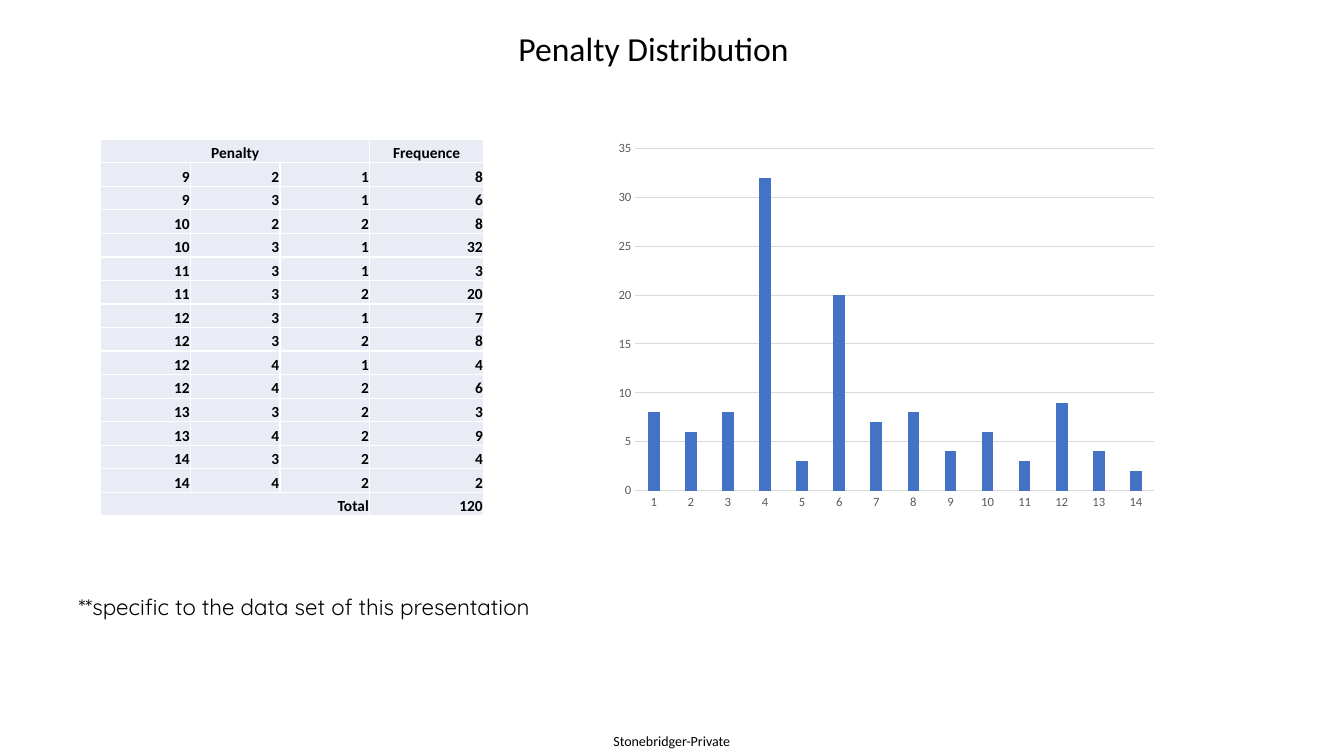
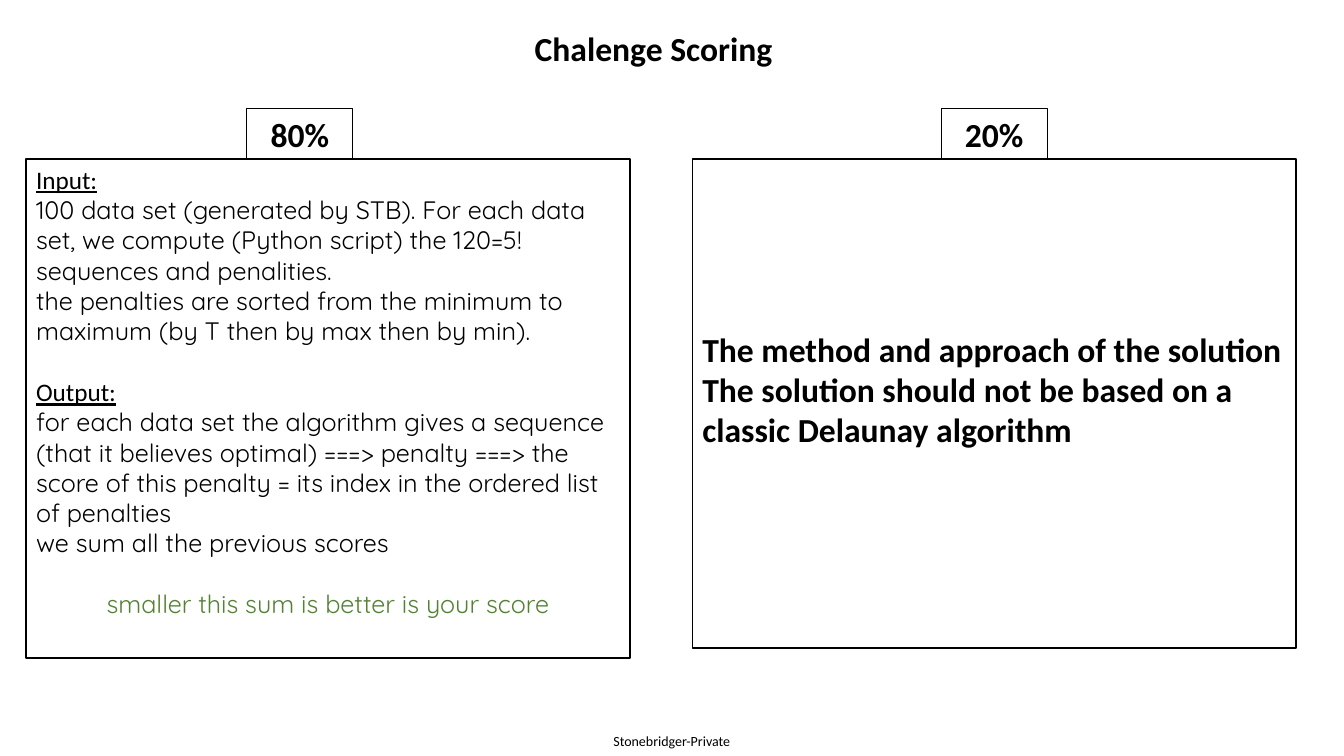
from dataclasses import dataclass

from lxml import etree
from pptx import Presentation
from pptx import util as u
from pptx.chart import data as chart_data
from pptx.dml.color import RGBColor
from pptx.enum import chart as chart_enum
from pptx.enum import shapes, text
from pptx.oxml import parse_xml
from pptx.oxml.ns import nsdecls, qn


@dataclass(frozen=True)
class Theme:
    ink: str = "000000"
    accent: str = "548235"
    bar: str = "4472C4"
    grid: str = "D9D9D9"
    axis_text: str = "595959"
    cell: str = "E9EBF5"
    cell_border: str = "FFFFFF"
    font: str = "Calibri"
    body_font: str = "Quicksand"
    title: int = 24
    body: int = 18
    note: int = 16
    table: int = 11
    footer: int = 10
    axis: int = 9


THEME = Theme()
FOOTER = "Stonebridger-Private"
LEFT, CENTER, RIGHT = text.PP_ALIGN.LEFT, text.PP_ALIGN.CENTER, text.PP_ALIGN.RIGHT
TOP, MIDDLE, BOTTOM = (text.MSO_ANCHOR.TOP, text.MSO_ANCHOR.MIDDLE,
                       text.MSO_ANCHOR.BOTTOM)

# Three penalty terms and how often the combination occurs
PENALTIES = [
    (9, 2, 1, 8), (9, 3, 1, 6), (10, 2, 2, 8), (10, 3, 1, 32),
    (11, 3, 1, 3), (11, 3, 2, 20), (12, 3, 1, 7), (12, 3, 2, 8),
    (12, 4, 1, 4), (12, 4, 2, 6), (13, 3, 2, 3), (13, 4, 2, 9),
    (14, 3, 2, 4), (14, 4, 2, 2),
]
FREQUENCIES = [row[-1] for row in PENALTIES]

HEADING = dict(font=THEME.font, underline=True)
SCORING = [
    ("Input:", HEADING),
    "100 data set (generated by STB). For each data set, we compute "
    "(Python script) the 120=5! sequences and penalities.",
    "the penalties are sorted from the minimum to maximum "
    "(by T then by max then by min).",
    ("Output:", dict(HEADING, before=22)),
    "for each data set the algorithm gives a sequence (that it believes "
    "optimal) ===> penalty ===> the score of this penalty = its index in "
    "the ordered list of penalties",
    "we sum all the previous scores",
    ("smaller this sum is better is your score",
     dict(color=THEME.accent, align=CENTER, before=22)),
]
METHOD = [
    "The method and approach of the solution",
    "The solution should not be based on a classic Delaunay algorithm",
]


def cm(box):
    return [u.Cm(length) for length in box]


def rgb(value):
    return RGBColor.from_string(value)


def write_paragraph(paragraph, words, size=THEME.body, font=THEME.font,
                    color=THEME.ink, bold=False, underline=False,
                    align=LEFT, before=0):
    paragraph.alignment = align
    paragraph.space_before = u.Pt(before)
    run = paragraph.add_run()
    run.text = words
    run.font.size = u.Pt(size)
    run.font.name = font
    run.font.bold = bold
    run.font.underline = underline
    run.font.color.rgb = rgb(color)


def write(frame, lines, anchor=TOP, **style):
    """Fill a frame; each line is a string or a (string, own format) pair."""
    frame.word_wrap = True
    frame.vertical_anchor = anchor
    for index, line in enumerate([lines] if isinstance(lines, str) else lines):
        words, own = (line, {}) if isinstance(line, str) else line
        paragraph = frame.add_paragraph() if index else frame.paragraphs[0]
        write_paragraph(paragraph, words, **{**style, **own})


def add_footer(slide, layout, box):
    """Put the footer on the layout, so that every slide shows it."""
    footer = slide.shapes.add_textbox(*cm(box))
    frame = footer.text_frame
    frame.margin_left = frame.margin_right = 0
    frame.margin_top = frame.margin_bottom = 0
    write(frame, FOOTER, anchor=MIDDLE, size=THEME.footer, align=CENTER)
    layout.shapes._spTree.append(footer._element)


def add_title(slide, words, bold=False):
    title = slide.shapes.title
    title.left, title.top, title.width, title.height = cm((7.54, 0.58, 17.86, 1.27))
    title.text_frame.auto_size = text.MSO_AUTO_SIZE.NONE
    write(title.text_frame, words, size=THEME.title, bold=bold, align=CENTER)


def add_borders(cell):
    properties = cell._tc.get_or_add_tcPr()
    for index, side in enumerate(("lnL", "lnR", "lnT", "lnB")):
        properties.insert(index, parse_xml(
            f'<a:{side} {nsdecls("a")} w="12700"><a:solidFill>'
            f'<a:srgbClr val="{THEME.cell_border}"/></a:solidFill></a:{side}>'))


def add_penalty_table(slide, box):
    rows = [("Penalty", "", "", "Frequence"), *PENALTIES,
            ("Total", "", "", sum(FREQUENCIES))]
    table = slide.shapes.add_table(len(rows), 4, *cm(box)).table
    table.first_row = table.horz_banding = False
    term_width = 2.26
    for column in table.columns:
        column.width = u.Cm(term_width)
    table.columns[3].width = u.Cm(box[2] - 3 * term_width)

    for r, values in enumerate(rows):
        table.rows[r].height = u.Cm(box[3] / len(rows))
        for c, value in enumerate(values):
            cell = table.cell(r, c)
            cell.margin_left = cell.margin_right = cell.margin_top = u.Cm(0.02)
            cell.margin_bottom = 0
            cell.vertical_anchor = BOTTOM
            cell.fill.solid()
            cell.fill.fore_color.rgb = rgb(THEME.cell)
            add_borders(cell)
            write_paragraph(cell.text_frame.paragraphs[0], str(value),
                            size=THEME.table, bold=True,
                            align=RIGHT if r else CENTER)
    for r in (0, len(rows) - 1):
        table.cell(r, 0).merge(table.cell(r, 2))


def set_plot_area(chart, x, y, w, h):
    plot_area = chart._chartSpace.find(".//" + qn("c:plotArea"))
    for old in plot_area.findall(qn("c:layout")):
        plot_area.remove(old)
    layout = etree.Element(qn("c:layout"))
    manual = etree.SubElement(layout, qn("c:manualLayout"))
    settings = dict(layoutTarget="inner", xMode="edge", yMode="edge",
                    x=x, y=y, w=w, h=h)
    for name, value in settings.items():
        etree.SubElement(manual, qn("c:" + name)).set("val", str(value))
    plot_area.insert(0, layout)


def add_frequency_chart(slide, box):
    values = chart_data.CategoryChartData()
    values.categories = [str(n + 1) for n in range(len(FREQUENCIES))]
    values.add_series("Series 1", FREQUENCIES)
    chart = slide.shapes.add_chart(
        chart_enum.XL_CHART_TYPE.COLUMN_CLUSTERED, *cm(box), values).chart
    chart.has_legend = chart.has_title = False
    chart.font.name = THEME.font
    chart.font.size = u.Pt(THEME.footer)
    set_plot_area(chart, 0.05, 0.04, 0.91, 0.88)

    # Bars
    plot = chart.plots[0]
    plot.gap_width, plot.overlap = 219, -27
    plot.vary_by_categories = False
    bars = plot.series[0].format.fill
    bars.solid()
    bars.fore_color.rgb = rgb(THEME.bar)

    # Axes and gridlines
    scale = chart.value_axis
    scale.minimum_scale, scale.maximum_scale, scale.major_unit = 0, 35, 5
    scale.has_major_gridlines = True
    for axis in (chart.category_axis, scale):
        axis.major_tick_mark = chart_enum.XL_TICK_MARK.NONE
        axis.minor_tick_mark = chart_enum.XL_TICK_MARK.NONE
        labels = axis.tick_labels.font
        labels.name = THEME.font
        labels.size = u.Pt(THEME.axis)
        labels.color.rgb = rgb(THEME.axis_text)
    for line in (chart.category_axis.format.line, scale.major_gridlines.format.line):
        line.color.rgb = rgb(THEME.grid)
        line.width = u.Pt(0.75)
    scale.format.line.fill.background()


def add_frame(slide, box, line_width):
    frame = slide.shapes.add_shape(shapes.MSO_SHAPE.RECTANGLE, *cm(box))
    frame.shadow.inherit = False
    frame.fill.background()
    frame.line.color.rgb = rgb(THEME.ink)
    frame.line.width = u.Pt(line_width)
    return frame.text_frame


def add_score_panel(slide, box, share, tab_offset, lines, inset=0.13, **style):
    """Draw a text panel with its share of the score in a tab on top."""
    left, top = box[:2]
    body = add_frame(slide, box, 1.25)
    body.margin_top = u.Cm(inset)
    write(body, lines, **style)
    tab_width, tab_height = 2.67, 1.27
    tab = add_frame(slide, (left + tab_offset, top - tab_height,
                            tab_width, tab_height), 0.75)
    write(tab, share, size=THEME.title, bold=True, align=CENTER)


def build_distribution(slide):
    add_title(slide, "Penalty Distribution")
    add_penalty_table(slide, (2.54, 3.51, 9.65, 9.5))
    add_frequency_chart(slide, (15.29, 3.35, 14.38, 9.8))
    note = slide.shapes.add_textbox(*cm((1.73, 14.81, 14.1, 0.94)))
    write(note.text_frame, "**specific to the data set of this presentation",
          size=THEME.note, font=THEME.body_font)


def build_scoring(slide):
    add_title(slide, "Chalenge Scoring", bold=True)
    top, width = 4.01, 15.21
    add_score_panel(slide, (0.66, top, width, 12.57), "80%", 5.56, SCORING,
                    font=THEME.body_font)
    add_score_panel(slide, (17.45, top, width, 12.32), "20%", 6.27, METHOD,
                    inset=4.27, size=THEME.title, bold=True)


def main():
    deck = Presentation()
    deck.slide_width, deck.slide_height = u.Cm(33.87), u.Cm(19.05)
    layout = deck.slide_layouts.get_by_name("Title Only")
    builders = (build_distribution, build_scoring)
    slides = [deck.slides.add_slide(layout) for _ in builders]
    add_footer(slides[0], layout, (14.96, 18.31, 3.94, 0.74))
    for build, slide in zip(builders, slides):
        build(slide)
    deck.save("out.pptx")


if __name__ == "__main__":
    main()
